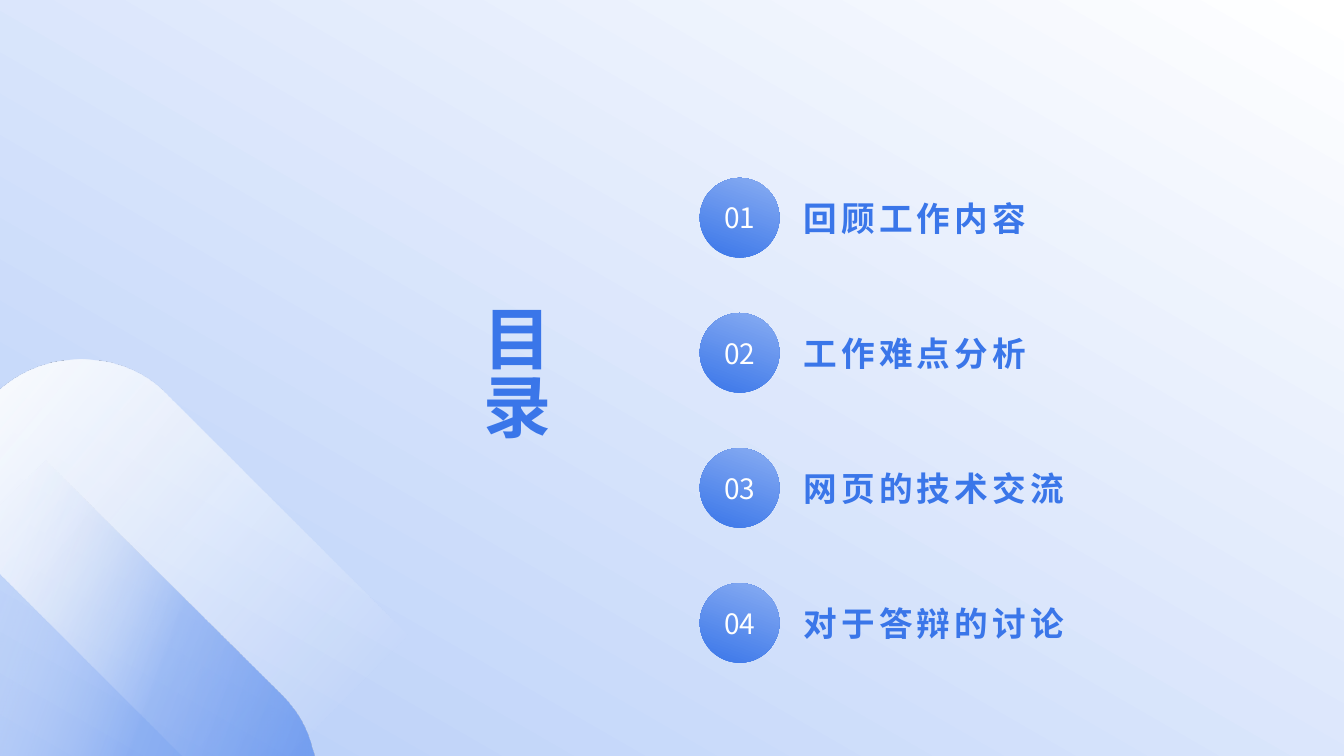
import pptx
import pptx.util
import pptx.dml.color
import pptx.enum.shapes
import pptx.enum.text
import pptx.oxml
import pptx.oxml.ns

Inches = pptx.util.Inches
RGB = pptx.dml.color.RGBColor
KIND = pptx.enum.shapes.MSO_SHAPE
ALIGN = pptx.enum.text.PP_ALIGN
MIDDLE = pptx.enum.text.MSO_ANCHOR.MIDDLE
qn = pptx.oxml.ns.qn

BLUE = RGB(0x3A, 0x76, 0xE9)
SOFT = RGB(0x89, 0xAD, 0xF2)
SKY = RGB(0xB6, 0xCD, 0xF8)
MIST = RGB(0xF9, 0xFB, 0xFE)
HAZE = RGB(0xFB, 0xFC, 0xFF)
WHITE = RGB(0xFF, 0xFF, 0xFF)
FONT = "Noto Sans CJK SC"
WIDE, HIGH = 13.33, 7.5
TOPICS = ["回顾工作内容", "工作难点分析", "网页的技术交流", "对于答辩的讨论"]


def shade(shape, angle, stops):
    """Fill with a gradient; stops are (place %, colour, opacity %)."""
    shape.shadow.inherit = False
    shape.line.fill.background()
    shape.fill.solid()
    marks = "".join(
        f'<a:gs pos="{place * 1000}"><a:srgbClr val="{color}">'
        f'<a:alpha val="{alpha * 1000}"/></a:srgbClr></a:gs>'
        for place, color, alpha in stops)
    grad = pptx.oxml.parse_xml(
        f'<a:gradFill {pptx.oxml.ns.nsdecls("a")} rotWithShape="1">'
        f'<a:gsLst>{marks}</a:gsLst>'
        f'<a:lin ang="{angle * 60000}" scaled="0"/></a:gradFill>')
    props = shape._element.spPr
    props.replace(props.find(qn("a:solidFill")), grad)


def write(shape, text, size, color, bold=False, gap=0, wrap=True):
    """Put one styled, vertically centred paragraph in a shape."""
    frame = shape.text_frame
    frame.text = text
    frame.word_wrap = wrap
    frame.vertical_anchor = MIDDLE
    frame.margin_left = frame.margin_right = 0
    frame.margin_top = frame.margin_bottom = 0
    para = frame.paragraphs[0]
    font = para.runs[0].font
    font.name, font.size, font.bold = FONT, pptx.util.Pt(size), bold
    font.color.rgb = color
    props = para.runs[0]._r.get_or_add_rPr()
    if gap:
        props.set("spc", str(gap * 100))
    props.find(qn("a:latin")).addnext(pptx.oxml.parse_xml(
        f'<a:ea {pptx.oxml.ns.nsdecls("a")} typeface="{FONT}"/>'))
    return para


def curve(a, b, c, d, steps=24):
    """Points along a cubic curve, without its start."""
    points = []
    for step in range(1, steps + 1):
        t = step / steps
        u = 1 - t
        points.append(tuple(
            u**3 * p + 3 * u * u * t * q + 3 * u * t * t * r + t**3 * s
            for p, q, r, s in zip(a, b, c, d)))
    return points


def outline(slide, left, top, points):
    spots = [(Inches(left + x), Inches(top + y)) for x, y in points]
    pen = slide.shapes.build_freeform(*spots[0], scale=1.0)
    pen.add_line_segments(spots[1:], close=True)
    return pen.convert_to_shape()


def backdrop(slide, left, top, width, height):
    sheet = slide.shapes.add_shape(
        KIND.RECTANGLE, Inches(left), Inches(top), Inches(width), Inches(height))
    shade(sheet, 300, [(0, SKY, 100), (100, WHITE, 100)])


def ribbons(slide, left, top, width, height):
    """Two rounded bands that rise from the lower left corner."""
    band = [(0.81, 0)]
    band += curve((0.81, 0), (1.12, 0), (1.43, 0.11), (1.66, 0.35))
    band += [(width, 2.73), (2.85, height), (1.81, height), (0, 2.12),
             (0, 0.3), (0.04, 0.27)]
    band += curve((0.04, 0.27), (0.26, 0.09), (0.53, 0), (0.81, 0))[:-1]
    shade(outline(slide, left, top, band), 40,
          [(0, MIST, 100), (87, HAZE, 0)])

    fold = [(0.45, 1), (2.79, 3.32)]
    fold += curve((2.79, 3.32), (2.94, 3.47), (3.04, 3.64), (3.09, 3.83))
    fold += [(3.12, height), (0, height), (0, 1.44)]
    shade(outline(slide, left, top, fold), 20,
          [(0, WHITE, 0), (56, BLUE, 34), (98, BLUE, 55)])


def heading(slide, left, top, width, height):
    box = slide.shapes.add_textbox(
        Inches(left), Inches(top), Inches(width), Inches(height))
    para = write(box, "目录", 48.6, BLUE, bold=True, gap=3)
    para.line_spacing = 0.83


def topic(slide, left, top, width, height, number, label):
    size, indent = 0.79, 1.03
    disc = slide.shapes.add_shape(
        KIND.OVAL, Inches(left), Inches(top + (height - size) / 2),
        Inches(size), Inches(size))
    shade(disc, 290, [(0, BLUE, 100), (100, SOFT, 100)])
    para = write(disc, f"{number:02}", 20, WHITE, wrap=False)
    para.alignment = ALIGN.CENTER
    box = slide.shapes.add_textbox(
        Inches(left + indent), Inches(top),
        Inches(width - indent), Inches(height))
    write(box, label, 24, BLUE, bold=True, gap=3)


def agenda(slide, left, top, width, pitch):
    for row, label in enumerate(TOPICS):
        topic(slide, left, top + row * pitch, width, 1.02, row + 1, label)


def main():
    deck = pptx.Presentation()
    deck.slide_width, deck.slide_height = Inches(WIDE), Inches(HIGH)
    slide = deck.slides.add_slide(deck.slide_layouts[6])
    backdrop(slide, 0, 0, WIDE, HIGH)
    ribbons(slide, 0, 3.57, 4.04, 3.93)
    heading(slide, 4.8, 3.09, 0.85, 1.33)
    agenda(slide, 6.94, 1.65, 4.51, 1.34)
    deck.save("out.pptx")


if __name__ == "__main__":
    main()
